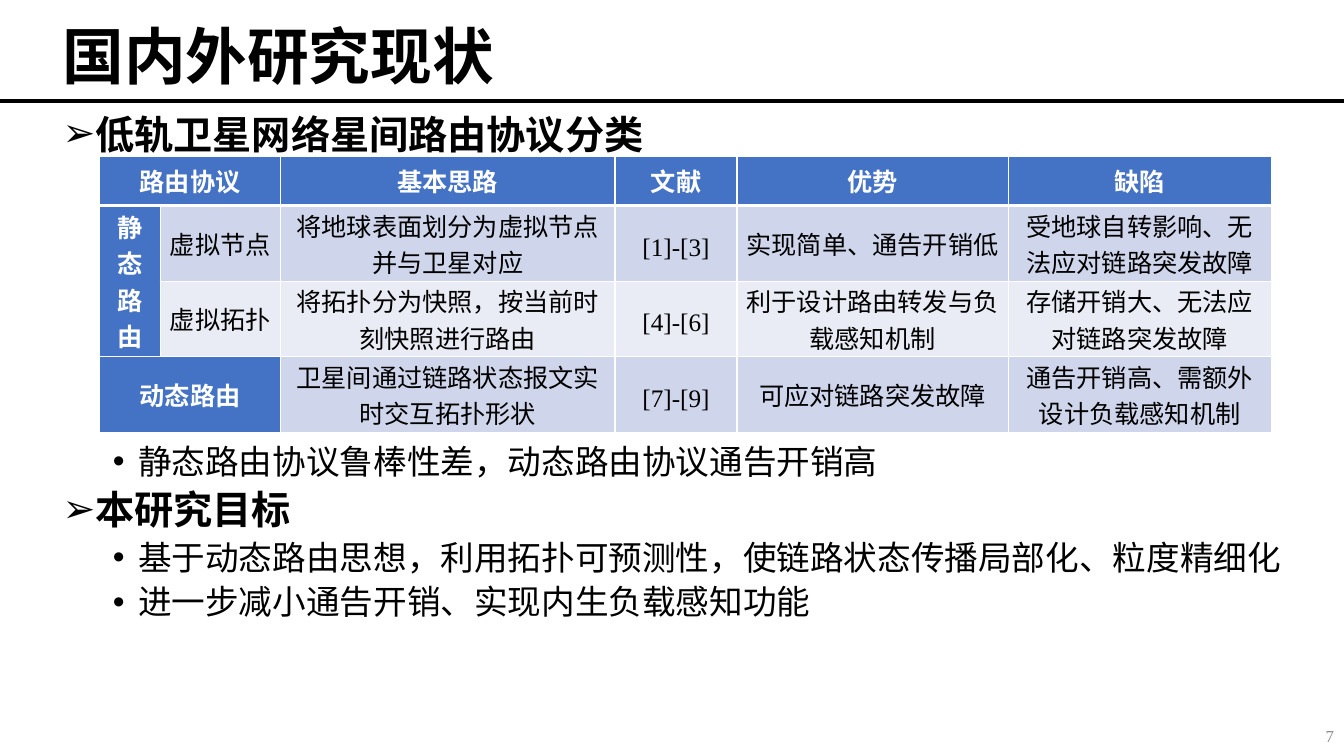
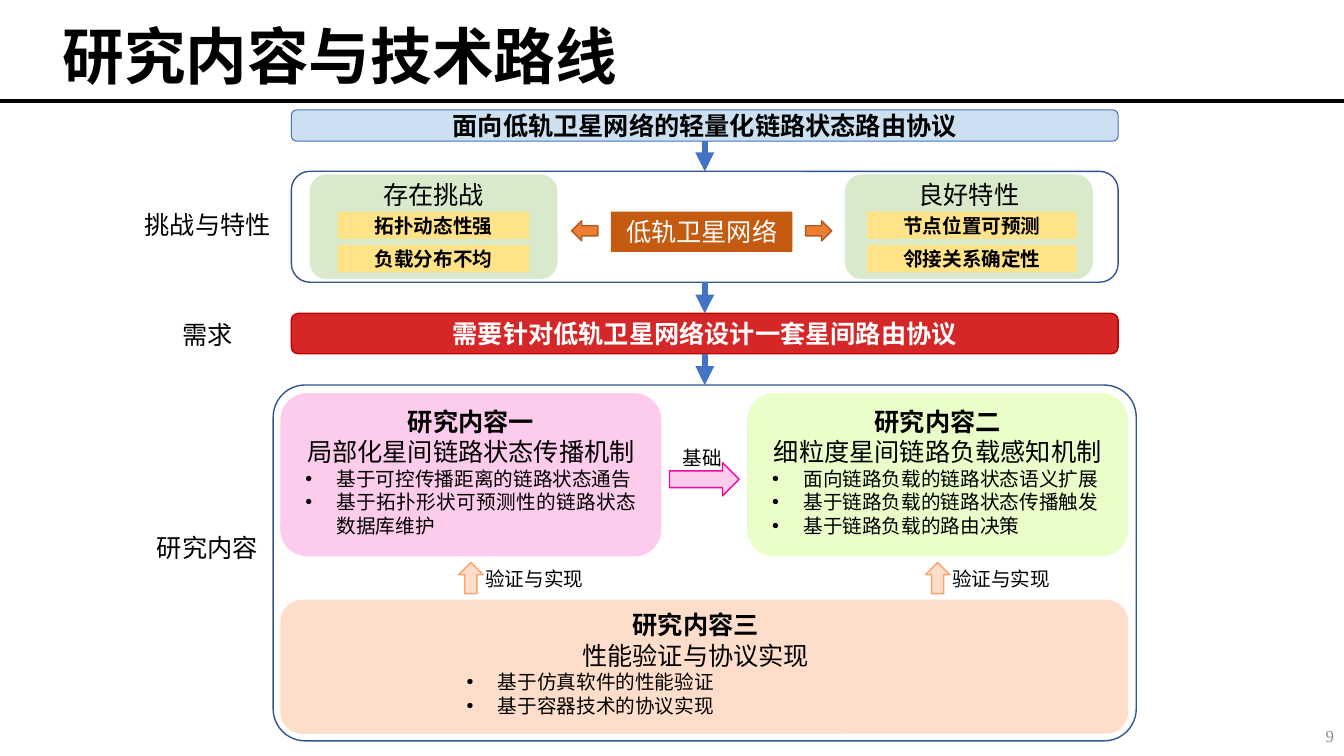
from dataclasses import dataclass
from lxml import etree
from pptx import Presentation
from pptx.dml.color import RGBColor
from pptx.enum import shapes, text
from pptx.oxml import ns
from pptx.util import Emu, Pt


@dataclass(frozen=True)
class Theme:
    sans: str = "Noto Sans CJK SC"
    serif: str = "Times New Roman"
    ink: str = "000000"
    white: str = "FFFFFF"
    muted: str = "8C8C8C"
    blue: str = "4472C4"
    frame: str = "325491"
    sky: str = "CCE0F2"
    bands: tuple = ("CFD5EA", "E9EBF5")
    green: str = "D8EACB"
    yellow: str = "FFE389"
    brown: str = "C55A11"
    orange: str = "ED7D31"
    orange_edge: str = "AF5C24"
    red: str = "D62728"
    red_edge: str = "C00000"
    pink: str = "FDCBEB"
    pink_edge: str = "ED099C"
    lime: str = "EAFECA"
    peach: str = "FEDECA"
    peach_edge: str = "FCA36C"
    title: int = 44
    heading: int = 28
    body: int = 24
    label: int = 18
    small: int = 14
    number: int = 12
    leading: float = 1.2
    table_leading: int = 26


THEME = Theme()
PX = 9144
KIND = shapes.MSO_SHAPE
CENTER, LEFT, RIGHT = text.PP_ALIGN.CENTER, text.PP_ALIGN.LEFT, text.PP_ALIGN.RIGHT
JUSTIFY = text.PP_ALIGN.JUSTIFY
TOP, MIDDLE = text.MSO_ANCHOR.TOP, text.MSO_ANCHOR.MIDDLE

OUTLINE = [
    (0, 0, "低轨卫星网络星间路由协议分类"),
    (1, 203, "静态路由协议鲁棒性差，动态路由协议通告开销高"),
    (0, 3, "本研究目标"),
    (1, 3, "基于动态路由思想，利用拓扑可预测性，使链路状态传播局部化、粒度精细化"),
    (1, 3, "进一步减小通告开销、实现内生负载感知功能"),
]
PROTOCOLS = [
    ["路由协议", "", "基本思路", "文献", "优势", "缺陷"],
    ["静态路由", "虚拟节点", "将地球表面划分为虚拟节点并与卫星对应", "[1]-[3]",
     "实现简单、通告开销低", "受地球自转影响、无法应对链路突发故障"],
    ["", "虚拟拓扑", "将拓扑分为快照，按当前时刻快照进行路由", "[4]-[6]",
     "利于设计路由转发与负载感知机制", "存储开销大、无法应对链路突发故障"],
    ["动态路由", "", "卫星间通过链路状态报文实时交互拓扑形状", "[7]-[9]",
     "可应对链路突发故障", "通告开销高、需额外设计负载感知机制"],
]
COLUMNS = [60, 119, 332, 121, 269, 261]
ROWS = [49, 75, 75, 75]
MERGES = [((0, 0), (0, 1)), ((1, 0), (2, 0)), ((3, 0), (3, 1))]

STAGES = [
    ((289, 109, 820, 31), THEME.sky, THEME.blue, 0.75, THEME.ink,
     "面向低轨卫星网络的轻量化链路状态路由协议", None),
    ((289, 170, 820, 110), None, THEME.frame, 1, THEME.ink, "", None),
    ((289, 311, 820, 40), THEME.red, THEME.red_edge, 1, THEME.white,
     "需要针对低轨卫星网络设计一套星间路由协议", None),
    ((271, 382, 856, 353), None, THEME.frame, 1, THEME.ink, "", 0.09),
]
CARDS = [
    (307, 335, 190, "存在挑战", ["拓扑动态性强", "负载分布不均"]),
    (838, 860, 208, "良好特性", ["节点位置可预测", "邻接关系确定性"]),
]
TOPICS = [
    (278, THEME.pink, "研究内容一", "局部化星间链路状态传播机制",
     ["基于可控传播距离的链路状态通告", "基于拓扑形状可预测性的链路状态数据库维护"]),
    (741, THEME.lime, "研究内容二", "细粒度星间链路负载感知机制",
     ["面向链路负载的链路状态语义扩展", "基于链路负载的链路状态传播触发", "基于链路负载的路由决策"]),
]
VALIDATION = ("研究内容三", "性能验证与协议实现", ["基于仿真软件的性能验证", "基于容器技术的协议实现"])
ARROWS = [
    (KIND.LEFT_ARROW, (567, 219, 26, 20), THEME.orange, THEME.orange_edge),
    (KIND.RIGHT_ARROW, (799, 219, 26, 20), THEME.orange, THEME.orange_edge),
    (KIND.RIGHT_ARROW, (664, 459, 69, 33), THEME.pink, THEME.pink_edge),
    (KIND.UP_ARROW, (455, 558, 24, 31), THEME.peach, THEME.peach_edge),
    (KIND.UP_ARROW, (918, 558, 24, 31), THEME.peach, THEME.peach_edge),
]
LABELS = [
    ((125, 203, 162, 40), "挑战与特性", THEME.label),
    ((133, 312, 145, 40), "需求", THEME.label),
    ((133, 523, 145, 40), "研究内容", THEME.label),
    ((663, 437, 67, 34), "基础", THEME.small),
    ((467, 558, 126, 34), "验证与实现", THEME.small),
    ((930, 558, 126, 34), "验证与实现", THEME.small),
]


def px(*lengths):
    return [Emu(length * PX) for length in lengths]


def apply(target, **values):
    for name, value in values.items():
        setattr(target, name, value)


def add_xml(parent, tag, **attributes):
    element = etree.SubElement(parent, ns.qn(tag))
    for name, value in attributes.items():
        element.set(name, str(value))
    return element


def set_bullet(paragraph, character, indent, hang):
    properties = paragraph._p.get_or_add_pPr()
    properties.set("marL", str(indent * PX))
    properties.set("indent", str(-hang * PX))
    add_xml(properties, "a:buFont", typeface="Arial")
    add_xml(properties, "a:buChar", char=character)


def write(paragraph, words, size, color=THEME.ink, bold=False, face=THEME.sans,
          align=CENTER, leading=None, before=0):
    run = paragraph.add_run()
    run.text = words
    apply(run.font, size=Pt(size), bold=bold, name=face)
    run.font.color.rgb = RGBColor.from_string(color)
    add_xml(run._r.get_or_add_rPr(), "a:ea", typeface=THEME.sans)
    apply(paragraph, alignment=align, space_before=Pt(before), space_after=Pt(0),
          line_spacing=leading or Pt(round(size * THEME.leading, 1)))


def set_frame(frame, anchor=TOP, side=10, edge=5):
    side, edge = px(side, edge)
    apply(frame, word_wrap=True, auto_size=text.MSO_AUTO_SIZE.NONE, vertical_anchor=anchor,
          margin_left=side, margin_right=side, margin_top=edge, margin_bottom=edge)
    return frame


def add_label(slide, box, words, size, anchor=TOP, **style):
    frame = set_frame(slide.shapes.add_textbox(*px(*box)).text_frame, anchor)
    write(frame.paragraphs[0], words, size, **style)


def add_block(slide, kind, box, fill=None, edge=None, width=1, words="", **style):
    shape = slide.shapes.add_shape(kind, *px(*box))
    shape.shadow.inherit = False
    if fill:
        shape.fill.solid()
        shape.fill.fore_color.rgb = RGBColor.from_string(fill)
    else:
        shape.fill.background()
    if edge:
        shape.line.color.rgb = RGBColor.from_string(edge)
        shape.line.width = Pt(width)
    else:
        shape.line.fill.background()
    if words:
        write(set_frame(shape.text_frame, MIDDLE, 5, 0).paragraphs[0], words, **style)
    return shape


def add_line(slide, ends, color, width, arrow=False):
    line = slide.shapes.add_connector(shapes.MSO_CONNECTOR.STRAIGHT, *px(*ends))
    line.line.color.rgb = RGBColor.from_string(color)
    line.line.width = Pt(width)
    if arrow:
        add_xml(line.line._get_or_add_ln(), "a:tailEnd", type="triangle")
    add_xml(line._element.spPr, "a:effectLst")
    return line


def add_slide(presentation, layout, title, number):
    slide = presentation.slides.add_slide(presentation.slide_layouts[layout])
    add_line(slide, (0, 100, 1333, 100), THEME.ink, 3)
    heading = slide.shapes.title
    apply(heading, **dict(zip(("left", "top", "width", "height"), px(52, 10, 836, 98))))
    write(set_frame(heading.text_frame, MIDDLE).paragraphs[0], title, THEME.title,
          bold=True, align=LEFT, leading=0.9)
    add_label(slide, (1033, 710, 300, 40), number, THEME.number, MIDDLE,
              color=THEME.muted, face=THEME.serif, align=RIGHT)
    return slide


def set_borders(cell, row):
    properties = cell._tc.get_or_add_tcPr()
    heavy = {"a:lnB": row == 0, "a:lnT": row == 1}
    for index, tag in enumerate(("a:lnL", "a:lnR", "a:lnT", "a:lnB")):
        border = add_xml(properties, tag, w=Pt(3 if heavy.get(tag) else 1))
        add_xml(add_xml(border, "a:solidFill"), "a:srgbClr", val=THEME.white)
        properties.insert(index, border)


def add_protocol_table(slide):
    box = px(99, 155, sum(COLUMNS), sum(ROWS))
    table = slide.shapes.add_table(len(ROWS), len(COLUMNS), *box).table
    for column, width in zip(table.columns, COLUMNS):
        column.width = Emu(width * PX)
    for row, height in zip(table.rows, ROWS):
        row.height = Emu(height * PX)
    for start, end in MERGES:
        table.cell(*start).merge(table.cell(*end))
    side, edge = px(7, 0)
    for r, row in enumerate(PROTOCOLS):
        for c, words in enumerate(row):
            cell = table.cell(r, c)
            header = r == 0 or c == 0
            apply(cell, vertical_anchor=MIDDLE, margin_left=side, margin_right=side,
                  margin_top=edge, margin_bottom=edge)
            cell.fill.solid()
            fill = THEME.blue if header else THEME.bands[(r - 1) % 2]
            cell.fill.fore_color.rgb = RGBColor.from_string(fill)
            set_borders(cell, r)
            if words:
                write(cell.text_frame.paragraphs[0], words, THEME.label,
                      THEME.white if header else THEME.ink, header, THEME.serif,
                      leading=Pt(THEME.table_leading))


def build_status(presentation):
    slide = add_slide(presentation, 1, "国内外研究现状", "7")
    body = slide.placeholders[1]
    apply(body, **dict(zip(("left", "top", "width", "height"), px(52, 100, 1229, 562))))
    frame = set_frame(body.text_frame, edge=9)
    for index, (level, before, words) in enumerate(OUTLINE):
        paragraph = frame.add_paragraph() if index else frame.paragraphs[0]
        paragraph.level = level
        write(paragraph, words, (THEME.heading, THEME.body)[level], bold=level == 0,
              face=THEME.serif, align=LEFT, before=before)
        set_bullet(paragraph, "➢•"[level], (25, 75)[level], 25)
    add_protocol_table(slide)


def write_topic(frame, name, subject, points, align):
    write(frame.paragraphs[0], name, THEME.label, bold=True)
    write(frame.add_paragraph(), subject, THEME.label)
    for point in points:
        paragraph = frame.add_paragraph()
        write(paragraph, point, THEME.small, align=align)
        set_bullet(paragraph, "•", 31, 31)


def build_route(presentation):
    slide = add_slide(presentation, 5, "研究内容与技术路线", "9")
    stages = []
    for box, fill, edge, width, color, words, corner in STAGES:
        stage = add_block(slide, KIND.ROUNDED_RECTANGLE, box, fill, edge, width, words,
                          size=THEME.label, color=color, bold=True)
        if corner:
            stage.adjustments[0] = corner
        stages.append(stage)
    for upper, lower in zip(stages, stages[1:]):
        link = add_line(slide, (0, 0, 0, 0), THEME.blue, 4.5, arrow=True)
        link.begin_connect(upper, 2)
        link.end_connect(lower, 0)

    for left, tag_left, tag_width, heading, tags in CARDS:
        add_block(slide, KIND.ROUNDED_RECTANGLE, (left, 173, 246, 104), THEME.green)
        add_label(slide, (left, 173, 246, 36), heading, THEME.label)
        for index, tag in enumerate(tags):
            add_block(slide, KIND.RECTANGLE, (tag_left, 210 + 33 * index, tag_width, 27),
                      THEME.yellow, words=tag, size=THEME.small, bold=True)
    add_block(slide, KIND.RECTANGLE, (606, 210, 180, 40), THEME.brown,
              words="低轨卫星网络", size=THEME.label, color=THEME.white)

    for left, fill, *topic in TOPICS:
        card = add_block(slide, KIND.ROUNDED_RECTANGLE, (left, 390, 378, 162), fill)
        write_topic(set_frame(card.text_frame, side=17), *topic, align=JUSTIFY)
    add_block(slide, KIND.ROUNDED_RECTANGLE, (278, 595, 841, 133), THEME.peach)
    validation = slide.shapes.add_textbox(*px(453, 600, 474, 118))
    write_topic(set_frame(validation.text_frame), *VALIDATION, align=LEFT)

    for kind, box, fill, edge in ARROWS:
        add_block(slide, kind, box, fill, edge)
    for box, words, size in LABELS:
        add_label(slide, box, words, size)


def main():
    presentation = Presentation()
    apply(presentation, slide_width=Emu(1333 * PX), slide_height=Emu(750 * PX))
    build_status(presentation)
    build_route(presentation)
    presentation.save("out.pptx")


if __name__ == "__main__":
    main()
